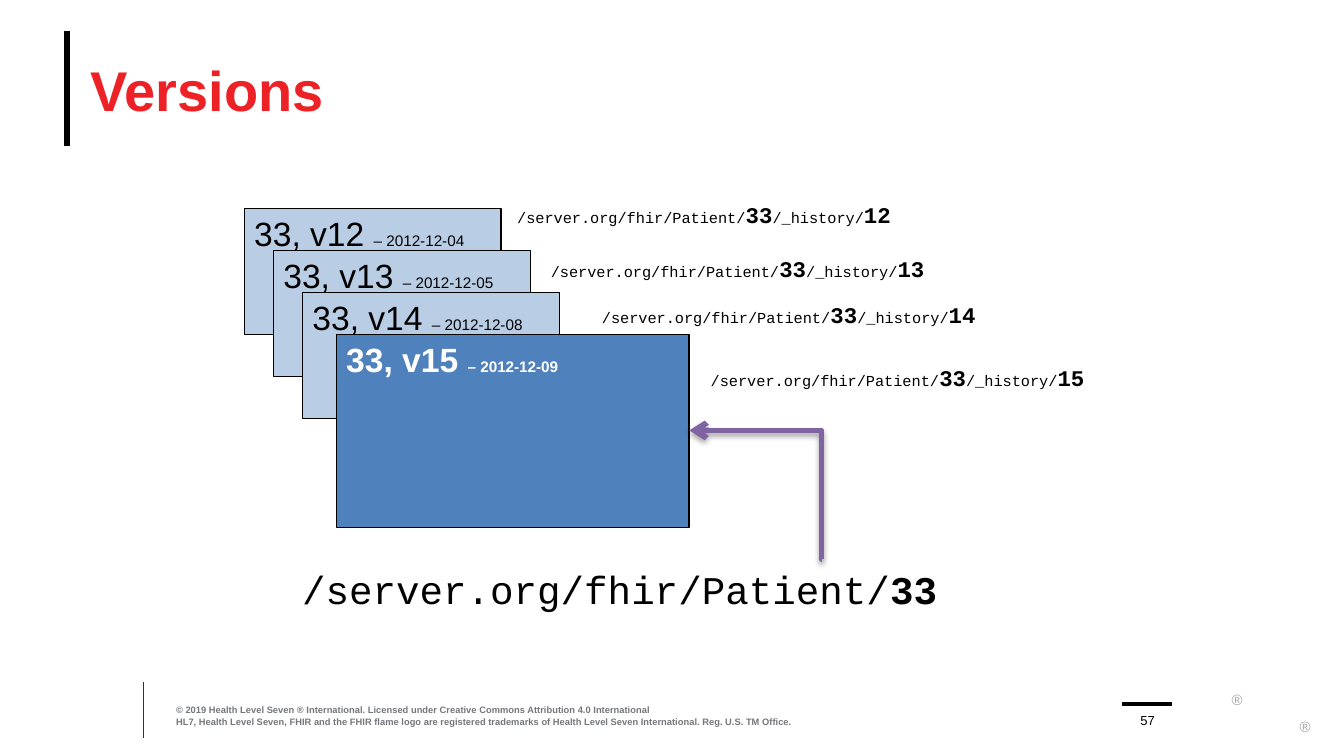
from dataclasses import dataclass

from lxml.etree import SubElement
from pptx import Presentation
from pptx.dml.color import RGBColor
from pptx.enum.shapes import MSO_CONNECTOR, MSO_SHAPE
from pptx.enum.text import MSO_ANCHOR, MSO_AUTO_SIZE, PP_ALIGN
from pptx.oxml.ns import qn
from pptx.util import Pt


@dataclass(frozen=True)
class Theme:
    black: str = "000000"
    white: str = "FFFFFF"
    red: str = "EC2227"
    brown: str = "3D3029"
    gray: str = "747679"
    light_gray: str = "A6A6A6"
    pale_blue: str = "B9CDE5"
    blue: str = "4F81BD"
    purple: str = "8064A2"
    sans: str = "Arial"
    mono: str = "Courier New"
    title: float = 30
    address: float = 21
    version: float = 18
    identifier: float = 12
    detail: float = 8.2
    mark: float = 8
    number: float = 7
    legal: float = 5


THEME = Theme()
VERSIONS = [
    ("12", "2012-12-04", (270, 104.4)),
    ("13", "2012-12-05", (288, 133.2)),
    ("14", "2012-12-08", (315.4, 157.7)),
    ("15", "2012-12-09", (373.7, 191.5)),
]


def set_values(target, values):
    for name, value in values.items():
        setattr(target, name, value)


def write_text(box, paragraphs, color, font, insets=(0, 0),
               anchor=MSO_ANCHOR.TOP, align=PP_ALIGN.LEFT, grow=False):
    frame = box.text_frame
    side, top = insets
    set_values(frame, {
        "word_wrap": True,
        "auto_size": MSO_AUTO_SIZE.SHAPE_TO_FIT_TEXT if grow else MSO_AUTO_SIZE.NONE,
        "vertical_anchor": anchor,
        "margin_left": Pt(side), "margin_right": Pt(side),
        "margin_top": Pt(top), "margin_bottom": Pt(top),
    })
    for index, spans in enumerate(paragraphs):
        para = frame.add_paragraph() if index else frame.paragraphs[0]
        para.alignment = align
        for text, size, bold in spans:
            span = para.add_run()
            span.text = text
            set_values(span.font, {"name": font, "size": Pt(size), "bold": bold})
            span.font.color.rgb = RGBColor.from_string(color)


def add_text(page, place, paragraphs, color, font=THEME.sans, **options):
    box = page.shapes.add_textbox(*map(Pt, place))
    write_text(box, paragraphs, color, font, **options)


def add_address(page, place, spans):
    add_text(page, place, [spans], THEME.black, THEME.mono,
             insets=(7.2, 3.6), grow=True)


def add_card(page, place, version, date, fill, color, bold=False):
    card = page.shapes.add_shape(MSO_SHAPE.RECTANGLE, *map(Pt, place))
    card.shadow.inherit = False
    card.fill.solid()
    card.fill.fore_color.rgb = RGBColor.from_string(fill)
    card.line.color.rgb = RGBColor.from_string(THEME.black)
    card.line.width = Pt(0.75)
    spans = [(f"33, v{version} ", THEME.version, bold),
             (f"– {date}", THEME.detail, bold)]
    write_text(card, [spans], color, THEME.sans, insets=(5.2, 2.6))


def add_line(page, ends, color, width, kind=MSO_CONNECTOR.STRAIGHT):
    line = page.shapes.add_connector(kind, *map(Pt, ends))
    line.line.color.rgb = RGBColor.from_string(color)
    line.line.width = Pt(width)
    effects = SubElement(line._element.spPr, qn("a:effectLst"))
    return line, effects


def add_elbow_arrow(page, ends):
    arrow, effects = add_line(page, ends, THEME.purple, 3, MSO_CONNECTOR.ELBOW)
    properties = arrow._element.spPr
    SubElement(properties.find(qn("a:ln")), qn("a:tailEnd"), type="arrow")
    guides = properties.find(qn("a:prstGeom")).find(qn("a:avLst"))
    SubElement(guides, qn("a:gd"), name="adj1", fmla="val 800")
    shadow = SubElement(effects, qn("a:outerShdw"), blurRad=str(Pt(3.1)),
                        dist=str(Pt(1.8)), dir="5400000", rotWithShape="0")
    tint = SubElement(shadow, qn("a:srgbClr"), val=THEME.black)
    SubElement(tint, qn("a:alpha"), val="35000")


def add_frame(page):
    add_line(page, (36, 16.5, 36, 78), THEME.black, 3.25)
    add_line(page, (77, 365.3, 77, 395.3), THEME.brown, 0.5)
    add_line(page, (601.2, 377.3, 627.8, 377.3), THEME.black, 2)
    for left, top in ((659.8, 367.2), (696.2, 381.6)):
        add_text(page, (left, top, 8, 6.5), [[("®", THEME.mark, False)]],
                 THEME.light_gray, insets=(0, 3.6))
    add_text(page, (48.5, 16.5, 648, 62), [[("Versions", THEME.title, True)]],
             THEME.red, anchor=MSO_ANCHOR.MIDDLE)
    legal = [
        "© 2019 Health Level Seven ® International. Licensed under Creative Commons Attribution 4.0 International",
        "HL7, Health Level Seven, FHIR and the FHIR flame logo are registered trademarks of Health Level Seven International. Reg. U.S. TM Office.",
    ]
    add_text(page, (94.3, 377.3, 356.4, 12.2),
             [[(text, THEME.legal, True)] for text in legal],
             THEME.gray, anchor=MSO_ANCHOR.BOTTOM)
    add_text(page, (604, 378, 21.6, 12.2), [[("57", THEME.number, False)]],
             THEME.black, anchor=MSO_ANCHOR.BOTTOM, align=PP_ALIGN.CENTER)


def add_versions(page):
    server = "/server.org/fhir/Patient/"
    *older, current = VERSIONS
    for index, (version, date, _) in enumerate(older):
        place = (131 + 15.6 * index, 111.6 + 22.5 * index, 137.5, 67.6)
        add_card(page, place, version, date, THEME.pale_blue, THEME.black)
    version, date, _ = current
    add_card(page, (180.3, 179.1, 188.8, 103.6), version, date,
             THEME.blue, THEME.white, bold=True)
    for version, _, corner in VERSIONS:
        add_address(page, (*corner, 256.3, 21.6), [
            (server, THEME.detail, False), ("33", THEME.identifier, True),
            ("/_history/", THEME.detail, False), (version, THEME.identifier, True),
        ])
    add_address(page, (154.8, 299.5, 371.5, 32.4),
                [(server, THEME.address, False), ("33", THEME.address, True)])
    add_elbow_arrow(page, (440.6, 299.5, 369.3, 230.6))


def main():
    deck = Presentation()
    deck.slide_width, deck.slide_height = Pt(720), Pt(405)
    page = deck.slides.add_slide(deck.slide_layouts[6])
    add_frame(page)
    add_versions(page)
    deck.save("out.pptx")


if __name__ == "__main__":
    main()
